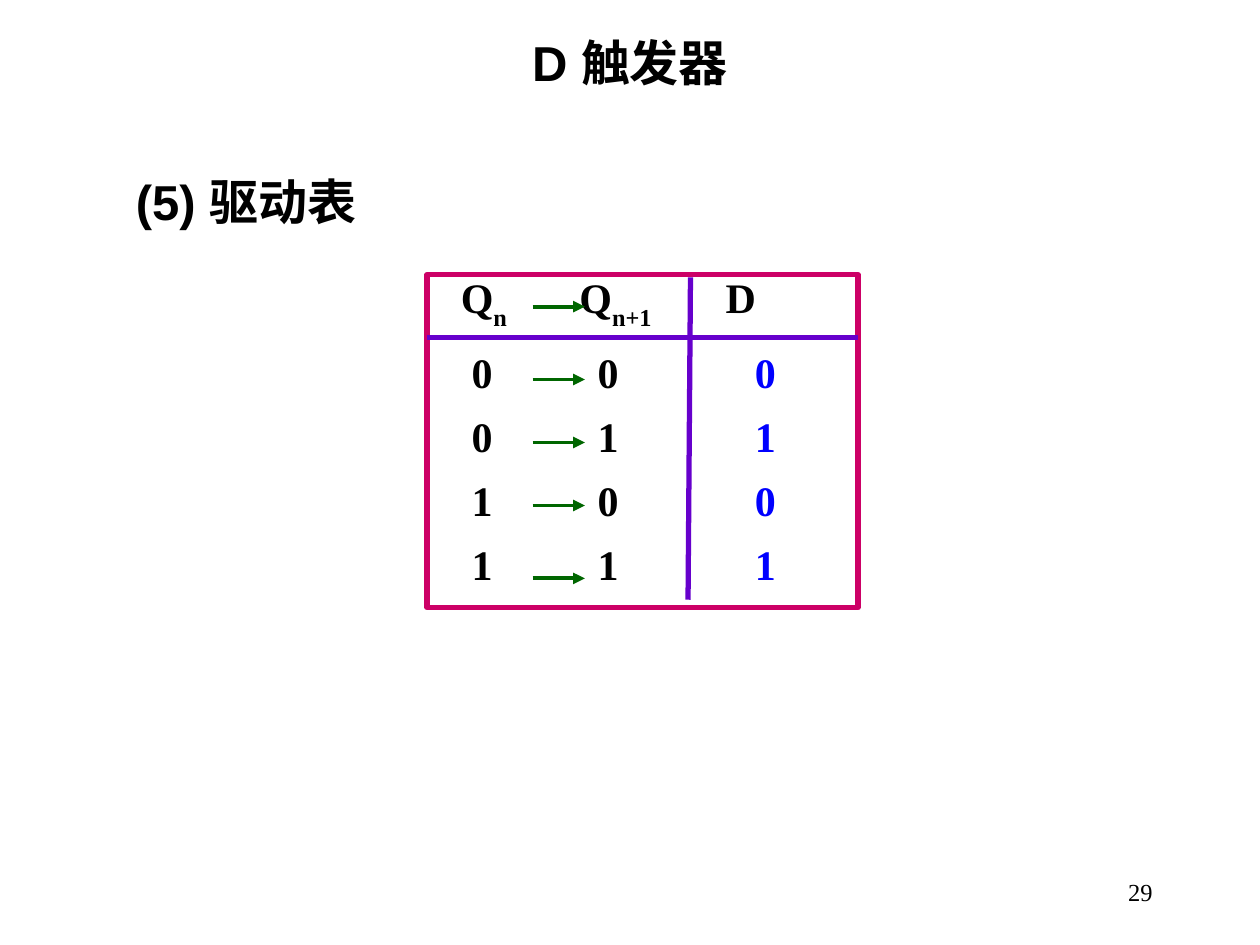
from dataclasses import dataclass

from lxml.etree import SubElement
from pptx import Presentation
from pptx.dml.color import RGBColor
from pptx.enum.shapes import MSO_CONNECTOR, MSO_SHAPE
from pptx.enum.text import MSO_ANCHOR, MSO_AUTO_SIZE, PP_ALIGN
from pptx.oxml.ns import qn
from pptx.util import Cm, Pt


@dataclass(frozen=True)
class Theme:
    """Colours, fonts and sizes of the slide."""
    ink: str = "000000"
    paper: str = "FFFFFF"
    frame: str = "CC0066"
    rule: str = "6600CC"
    arrow: str = "006600"
    result: str = "0000FF"
    sans: str = "Arial"
    serif: str = "Times New Roman"
    heading_size: float = 28
    table_size: float = 24
    page_size: float = 14
    rule_width: float = 3
    arrow_width: float = 2.25


@dataclass(frozen=True)
class Box:
    """A region of the slide in centimetres."""
    left: float
    top: float
    width: float
    height: float

    def lengths(self):
        """Return left, top, width and height as lengths."""
        return Cm(self.left), Cm(self.top), Cm(self.width), Cm(self.height)


THEME = Theme()
STATES = [("0", "0", "0"), ("0", "1", "1"), ("1", "0", "0"), ("1", "1", "1")]
HEADER_TABS = (0.43, 2.82, 5.77)
STATE_TABS = (0.65, 3.19, 6.36)
ARROW_HEIGHTS = (0.64, 2.11, 3.38, 4.65, 6.12)


def write(paragraph, text, *, size, font, color=THEME.ink, bold=True,
          align=PP_ALIGN.LEFT, baseline=None):
    """Add one formatted run to a paragraph."""
    paragraph.alignment = align
    run = paragraph.add_run()
    run.text = text
    run.font.size = Pt(size)
    run.font.name = font
    run.font.bold = bold
    run.font.color.rgb = RGBColor.from_string(color)
    if baseline is not None:
        run._r.get_or_add_rPr().set("baseline", str(baseline))


def prepare_frame(shape, anchor=MSO_ANCHOR.TOP, top=0.13):
    """Set the wrapping, insets and anchor of a shape's text."""
    frame = shape.text_frame
    frame.auto_size = MSO_AUTO_SIZE.NONE
    frame.word_wrap = True
    frame.vertical_anchor = anchor
    frame.margin_left = frame.margin_right = Cm(0.25)
    frame.margin_top, frame.margin_bottom = Cm(top), Cm(0.13)
    return frame


def set_tabs(paragraph, stops):
    """Give a paragraph left tab stops in centimetres."""
    tabs = SubElement(paragraph._p.get_or_add_pPr(), qn("a:tabLst"))
    for stop in stops:
        SubElement(tabs, qn("a:tab"), pos=str(Cm(stop)), algn="l")


def add_line(slide, box, start, end, color, width, arrow=False):
    """Draw a straight line between two points inside a box."""
    line = slide.shapes.add_connector(
        MSO_CONNECTOR.STRAIGHT,
        Cm(box.left + start[0]), Cm(box.top + start[1]),
        Cm(box.left + end[0]), Cm(box.top + end[1]))
    line.line.color.rgb = RGBColor.from_string(color)
    line.line.width = Pt(width)
    if arrow:
        SubElement(line.line._get_or_add_ln(), qn("a:tailEnd"), type="triangle")
    SubElement(line._element.spPr, qn("a:effectLst"))


def add_title(slide, box, text):
    """Place and fill the title placeholder."""
    title = slide.shapes.title
    title.left, title.top, title.width, title.height = box.lengths()
    write(prepare_frame(title).paragraphs[0], text, size=THEME.heading_size,
          font=THEME.sans, align=PP_ALIGN.CENTER)


def add_label(slide, box, text, anchor=MSO_ANCHOR.TOP, **style):
    """Add a one-line text box."""
    label = slide.shapes.add_textbox(*box.lengths())
    write(prepare_frame(label, anchor).paragraphs[0], text, **style)


def add_excitation_table(slide, box):
    """Draw the framed state transitions with their rules and arrows."""
    panel = slide.shapes.add_shape(MSO_SHAPE.RECTANGLE, *box.lengths())
    panel.shadow.inherit = False
    panel.fill.solid()
    panel.fill.fore_color.rgb = RGBColor.from_string(THEME.paper)
    panel.line.color.rgb = RGBColor.from_string(THEME.frame)
    panel.line.width = Pt(THEME.rule_width)
    frame = prepare_frame(panel, top=0.29)
    style = {"size": THEME.table_size, "font": THEME.serif}

    header = frame.paragraphs[0]
    header.line_spacing = Pt(24)
    header.space_after = Pt(1)
    set_tabs(header, HEADER_TABS)
    for symbol, subscript in (("Q", "n"), ("Q", "n+1"), ("D", "")):
        write(header, "\t" + symbol, **style)
        if subscript:
            write(header, subscript, baseline=-30000, **style)

    for current, following, drive in STATES:
        row = frame.add_paragraph()
        row.line_spacing = Pt(24)
        row.space_before = Pt(12.5)
        set_tabs(row, STATE_TABS)
        write(row, f"\t{current}\t{following}", **style)
        write(row, f"\t{drive}", color=THEME.result, **style)

    for start, end in (((5.31, 0.05), (5.26, 6.55)),
                       ((0, 1.27), (box.width, 1.27))):
        add_line(slide, box, start, end, THEME.rule, THEME.rule_width)
    for height in ARROW_HEIGHTS:
        add_line(slide, box, (2.13, height), (3.18, height), THEME.arrow,
                 THEME.arrow_width, arrow=True)


def main():
    """Build and save the slide."""
    deck = Presentation()
    deck.slide_width, deck.slide_height = Cm(25.4), Cm(19.05)
    slide = deck.slides.add_slide(deck.slide_layouts[5])
    add_title(slide, Box(0, 0.53, 25.4, 1.45), "D 触发器")
    add_label(slide, Box(2.49, 3.33, 13.79, 1.45), "(5) 驱动表",
              size=THEME.heading_size, font=THEME.sans)
    add_excitation_table(slide, Box(8.61, 5.54, 8.69, 6.71))
    add_label(slide, Box(18.21, 17.35, 5.28, 1.27), "29", MSO_ANCHOR.MIDDLE,
              size=THEME.page_size, font=THEME.serif, bold=False,
              align=PP_ALIGN.RIGHT)
    deck.save("out.pptx")


if __name__ == "__main__":
    main()
